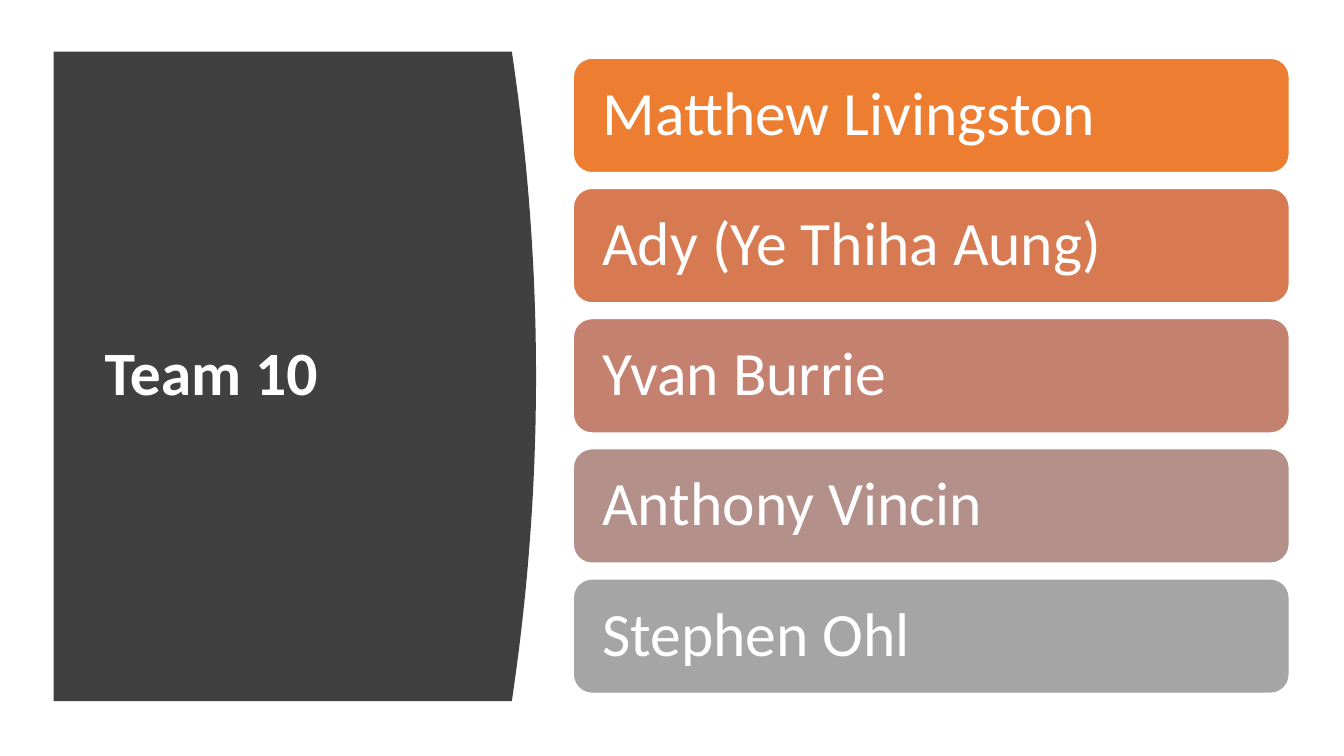
from pptx import Presentation
from pptx.dml.color import RGBColor
from pptx.enum.shapes import MSO_SHAPE
from pptx.enum.text import MSO_ANCHOR, PP_ALIGN
from pptx.util import Cm, Pt

WHITE = RGBColor(0xFF, 0xFF, 0xFF)
CHARCOAL = RGBColor(0x40, 0x40, 0x40)
MEMBERS = [
    ("Matthew Livingston", RGBColor(0xED, 0x7D, 0x31)),
    ("Ady (Ye Thiha Aung)", RGBColor(0xD8, 0x7A, 0x51)),
    ("Yvan Burrie", RGBColor(0xC4, 0x81, 0x70)),
    ("Anthony Vincin", RGBColor(0xB4, 0x90, 0x8B)),
    ("Stephen Ohl", RGBColor(0xA5, 0xA5, 0xA5)),
]
BAR_TOP, BAR_PITCH = 1.45, 3.28
CURVE_STEPS = 40


def write_text(box, text, insets, space_after, bold=False):
    frame = box.text_frame
    frame.word_wrap = True
    frame.vertical_anchor = MSO_ANCHOR.MIDDLE
    left, top, right, bottom = insets
    frame.margin_left, frame.margin_right = Cm(left), Cm(right)
    frame.margin_top, frame.margin_bottom = Cm(top), Cm(bottom)
    para = frame.paragraphs[0]
    para.alignment = PP_ALIGN.LEFT
    para.line_spacing = 0.9
    para.space_after = Pt(space_after)
    span = para.add_run()
    span.text = text
    span.font.name = "Calibri"
    span.font.size = Pt(44)
    span.font.bold = bold
    span.font.color.rgb = WHITE


def add_curved_panel(page, left, top, edge, height, bulge):
    curve = []
    for step in range(CURVE_STEPS + 1):
        share = step / CURVE_STEPS
        x = edge + bulge * 4 * share * (1 - share)
        curve.append((Cm(x), Cm(top + height * share)))
    builder = page.shapes.build_freeform(Cm(left), Cm(top))
    builder.add_line_segments(curve + [(Cm(left), Cm(top + height))], close=True)
    panel = builder.convert_to_shape()
    panel.shadow.inherit = False
    panel.fill.solid()
    panel.fill.fore_color.rgb = CHARCOAL
    panel.line.fill.background()


def add_title(page, text):
    box = page.shapes.add_textbox(Cm(2.39), Cm(2.82), Cm(9.47), Cm(13.31))
    write_text(box, text, (0.25, 0.13, 0.25, 0.13), 6, bold=True)


def add_member_bar(group, top, name, color):
    bar = group.shapes.add_shape(
        MSO_SHAPE.ROUNDED_RECTANGLE, Cm(14.43), Cm(top), Cm(18.08), Cm(2.92)
    )
    bar.adjustments[0] = 0.167
    bar.shadow.inherit = False
    bar.fill.solid()
    bar.fill.fore_color.rgb = color
    bar.line.color.rgb = WHITE
    bar.line.width = Pt(2)
    write_text(bar, name, (0.61, 0.61, 0.46, 0.61), 15.4)


def main():
    deck = Presentation()
    deck.slide_width, deck.slide_height = Cm(33.87), Cm(19.05)
    page = deck.slides.add_slide(deck.slide_layouts[6])
    add_curved_panel(page, left=1.35, top=1.3, edge=12.9, height=16.37, bulge=0.61)
    add_title(page, "Team 10")
    group = page.shapes.add_group_shape()
    for index, (name, color) in enumerate(MEMBERS):
        add_member_bar(group, BAR_TOP + index * BAR_PITCH, name, color)
    deck.save("out.pptx")


if __name__ == "__main__":
    main()
